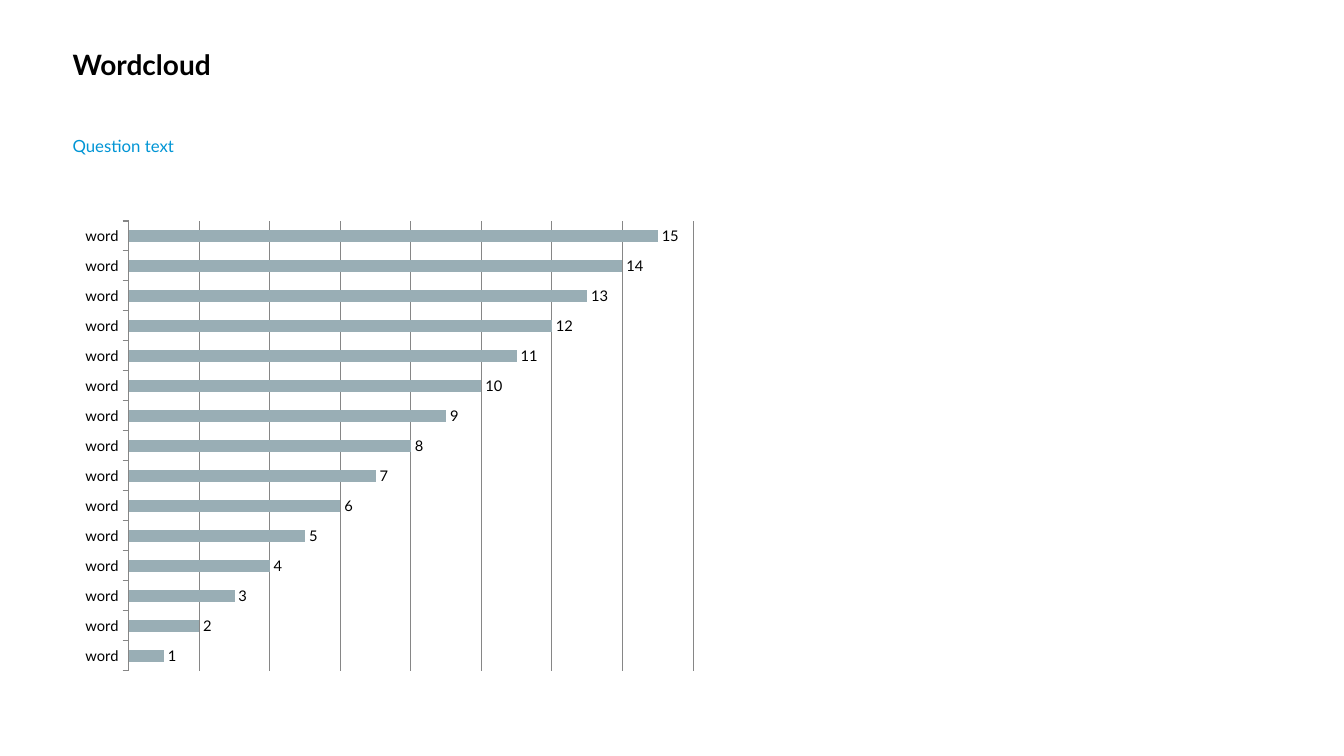
from pptx import Presentation
from pptx.chart.data import CategoryChartData
from pptx.dml.color import RGBColor
from pptx.enum.chart import XL_CHART_TYPE, XL_LABEL_POSITION, XL_TICK_MARK
from pptx.util import Inches, Pt

BAR = XL_CHART_TYPE.BAR_CLUSTERED
OUTSIDE_END = XL_LABEL_POSITION.OUTSIDE_END
TICK_OUT = XL_TICK_MARK.OUTSIDE
FONT = "Lato"
LEFT = Inches(0.72)


def style(font, size, color, bold=False):
    """Set typeface, size, colour and weight of a font."""
    font.name = FONT
    font.size = Pt(size)
    font.bold = bold
    font.color.rgb = RGBColor.from_string(color)


def add_text(text, top, height, size, color, bold=False):
    """Add a text box without margins and return its paragraph."""
    sp = slide.shapes.add_textbox(LEFT, Inches(top), Inches(9.84), Inches(height))
    tf = sp.text_frame
    tf.word_wrap = True
    tf.margin_left = tf.margin_right = tf.margin_top = tf.margin_bottom = 0
    p = tf.paragraphs[0]
    p.text = text
    style(p.runs[0].font, size, color, bold)
    return p


prs = Presentation()
prs.slide_width = Inches(13.33)
prs.slide_height = Inches(7.5)
slide = prs.slides.add_slide(prs.slide_layouts[6])

add_text("Wordcloud", 0.47, 0.84, 20, "000000", bold=True)
question = add_text("Question text", 1.31, 5.43, 12, "0095D5")
question.line_spacing = 1.2
question.space_after = Pt(18)

# Word counts, most frequent first
counts = range(15, 0, -1)
data = CategoryChartData()
data.categories = ["word"] * len(counts)
data.add_series("Series 1", counts)
chart = slide.shapes.add_chart(
    BAR, LEFT, Inches(2.1), Inches(6.28), Inches(4.65), data).chart
chart.has_legend = False
chart.has_title = False
style(chart.font, 18, "000000")

words = chart.category_axis
words.reverse_order = True
words.major_tick_mark = TICK_OUT
style(words.tick_labels.font, 10.5, "000000")

scale = chart.value_axis
scale.visible = False
scale.minimum_scale = 0
scale.maximum_scale = 16
scale.major_unit = 2
scale.has_major_gridlines = True

for line in (words.format.line, scale.major_gridlines.format.line):
    line.color.rgb = RGBColor.from_string("868686")
    line.width = Pt(0.75)

plot = chart.plots[0]
plot.gap_width = 150
plot.vary_by_categories = False
fill = plot.series[0].format.fill
fill.solid()
fill.fore_color.rgb = RGBColor.from_string("99AEB5")

plot.has_data_labels = True
labels = plot.data_labels
labels.show_value = True
labels.position = OUTSIDE_END
style(labels.font, 10.5, "000000")

prs.save("out.pptx")
